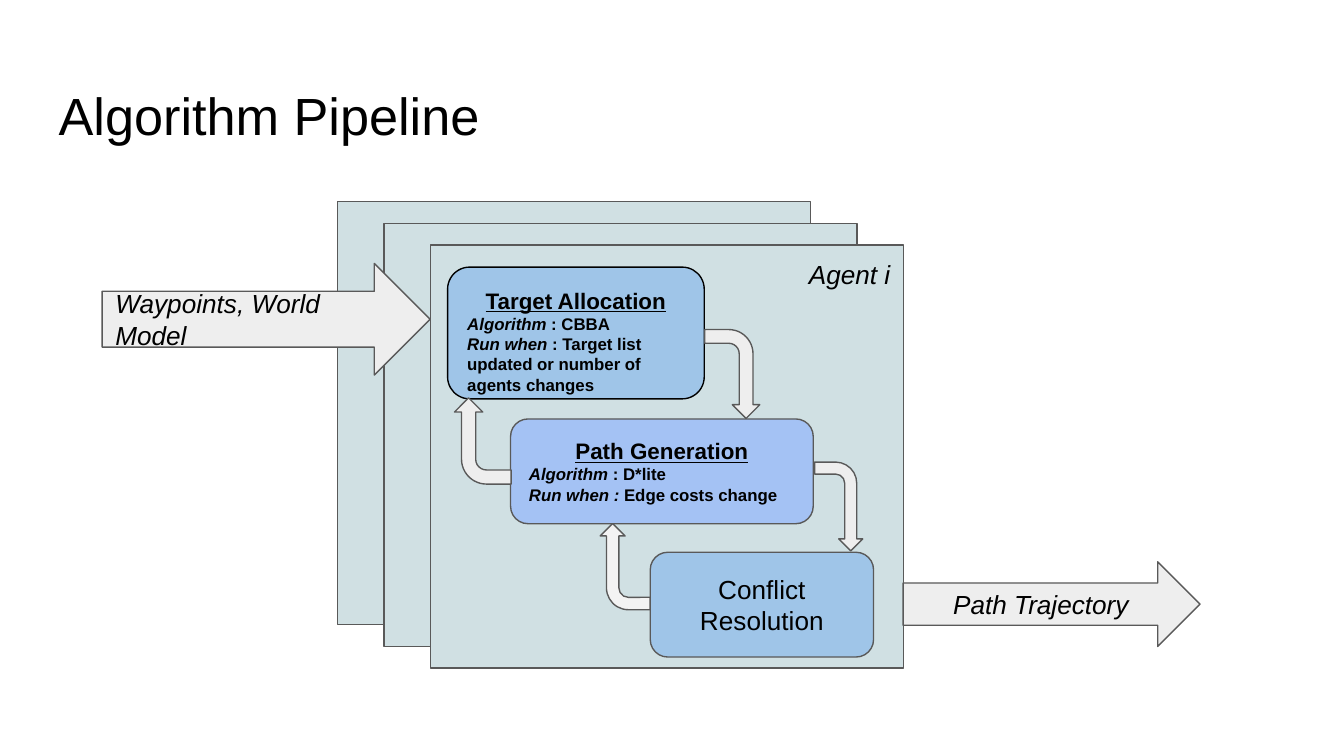
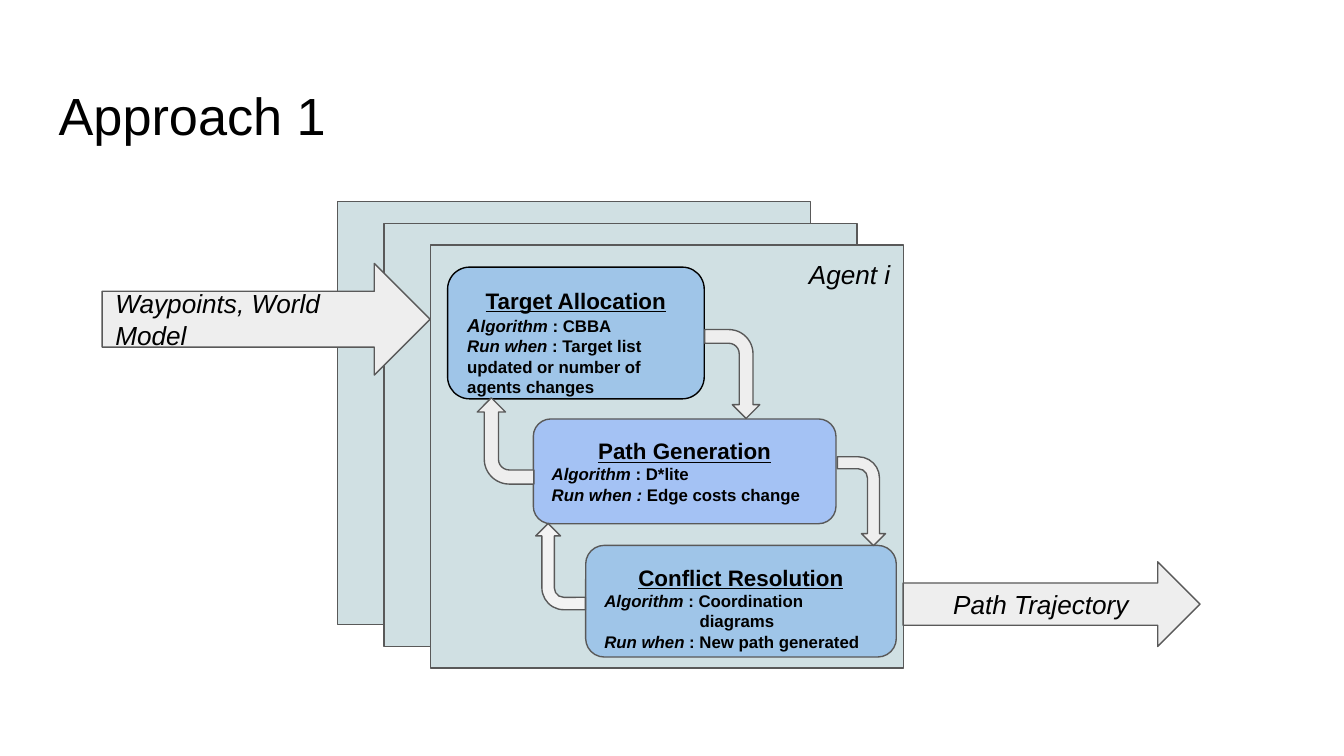
"""Build two slides that show the planning pipeline of an agent."""
from pptx import Presentation
from pptx import util as u
from pptx.dml.color import RGBColor
from pptx.enum import shapes, text

BLACK = RGBColor(0x00, 0x00, 0x00)
OUTLINE = RGBColor(0x59, 0x59, 0x59)
SHEET = RGBColor(0xD0, 0xE0, 0xE3)
SKY = RGBColor(0x9F, 0xC5, 0xE8)
PERIWINKLE = RGBColor(0xA4, 0xC2, 0xF4)
GREY = RGBColor(0xEE, 0xEE, 0xEE)
PALE_GREY = RGBColor(0xF3, 0xF3, 0xF3)

FONT = "Arial"
INSET = u.Cm(0.25)
KIND = shapes.MSO_SHAPE
LEFT, CENTER, RIGHT = text.PP_ALIGN.LEFT, text.PP_ALIGN.CENTER, text.PP_ALIGN.RIGHT
TOP, MIDDLE = text.MSO_ANCHOR.TOP, text.MSO_ANCHOR.MIDDLE

WAYPOINTS = "Waypoints, World Model"
ALLOCATION_RUN = [("Run when", True), (" : Target list updated or number of agents changes", False)]
PATH_LINES = [
    [("Algorithm", True), (" : D*lite", False)],
    [("Run when : ", True), ("Edge costs change", False)],
]


def set_font(font, size, bold=False, italic=None, underline=False):
    """Give a font the shared face and colour with the given style."""
    font.name, font.size = FONT, u.Pt(size)
    font.bold, font.italic, font.underline = bold, italic, underline
    font.color.rgb = BLACK


def set_frame(frame, anchor):
    """Set the margins, wrapping and anchor of a text frame."""
    frame.margin_left = frame.margin_right = INSET
    frame.margin_top = frame.margin_bottom = INSET
    frame.word_wrap = True
    frame.auto_size = text.MSO_AUTO_SIZE.NONE
    frame.vertical_anchor = anchor


def add_box(page, kind, place, fill, line=OUTLINE):
    """Add a flat preset shape at left, top, width, height in centimetres."""
    box = page.shapes.add_shape(kind, *map(u.Cm, place))
    box.shadow.inherit = False
    box.fill.solid()
    box.fill.fore_color.rgb = fill
    box.line.color.rgb = line
    box.line.width = u.Pt(0.75)
    return box


def add_label(box, words, align, anchor=MIDDLE, italic=True):
    """Write one large line of text in a shape."""
    set_frame(box.text_frame, anchor)
    para = box.text_frame.paragraphs[0]
    para.text, para.alignment = words, align
    set_font(para.font, 14, italic=italic)


def add_stage(page, place, fill, heading, lines, line=OUTLINE):
    """Add a rounded stage box with an underlined heading and detail lines."""
    box = add_box(page, KIND.FLOWCHART_ALTERNATE_PROCESS, place, fill, line)
    set_frame(box.text_frame, TOP)
    para = box.text_frame.paragraphs[0]
    para.text, para.alignment = heading, CENTER
    set_font(para.font, 12, bold=True, underline=True)
    for spans in lines:
        para = box.text_frame.add_paragraph()
        para.alignment = LEFT
        set_font(para.font, 9, bold=True)
        for words, italic, *size in spans:
            span = para.add_run()
            span.text, span.font.italic = words, italic
            if size:
                span.font.size = u.Pt(size[0])
    return box


def add_bend(page, place, rotation, fill=GREY):
    """Add a bent arrow between two stages."""
    bend = add_box(page, KIND.BENT_ARROW, place, fill)
    bend.rotation = rotation
    for index, value in enumerate((0.25, 0.25, 0.25, 0.44)):
        bend.adjustments[index] = value


def add_page(deck, title):
    """Add a slide with its title, the agent sheets and the outer arrows."""
    page = deck.slides.add_slide(deck.slide_layouts[5])
    holder = page.shapes.title
    holder.left, holder.top, holder.width, holder.height = map(u.Cm, (0.86, 1.32, 23.67, 1.6))
    set_frame(holder.text_frame, TOP)
    para = holder.text_frame.paragraphs[0]
    para.text, para.alignment = title, LEFT
    set_font(para.font, 28)
    for step in range(3):
        sheet = add_box(page, KIND.RECTANGLE, (6.38 + 0.88 * step, 3.81 + 0.41 * step, 8.94, 8), SHEET)
    add_label(sheet, "Agent i", RIGHT, TOP)
    add_label(add_box(page, KIND.RIGHT_ARROW, (1.93, 4.98, 6.2, 2.11), GREY), WAYPOINTS, LEFT)
    add_label(add_box(page, KIND.RIGHT_ARROW, (17.07, 10.62, 5.61, 1.6), GREY), "Path Trajectory", CENTER)
    return page


def add_flow(page, algorithm, shift, down, up):
    """Add the first two stages and the arrows that join all stages."""
    add_stage(page, (8.46, 5.05, 4.85, 2.49), SKY, "Target Allocation",
              [algorithm, ALLOCATION_RUN], BLACK)
    add_stage(page, (9.65 + shift, 7.92, 5.72, 1.98), PERIWINKLE, "Path Generation", PATH_LINES)
    add_bend(page, (13, 6.55, 1.68, 1.04), 90)
    add_bend(page, (*down, 1.68, 0.91), 90)
    add_bend(page, (8.31 + shift, 7.8, 1.63, 1.07), 270)
    add_bend(page, (*up, 1.63, 0.94), 270, PALE_GREY)


def add_pipeline(deck):
    """Add the slide with the general pipeline."""
    page = add_page(deck, "Algorithm Pipeline")
    conflict = add_box(page, KIND.FLOWCHART_ALTERNATE_PROCESS, (12.29, 10.44, 4.22, 1.98), SKY)
    add_label(conflict, "Conflict Resolution", CENTER, italic=False)
    add_flow(page, [("Algorithm", True), (" : CBBA", False)], 0, (15.01, 9.12), (11, 10.24))


def add_approach(deck):
    """Add the slide with the first approach."""
    page = add_page(deck, "Approach 1")
    conflict = add_stage(page, (11.07, 10.31, 5.87, 2.11), SKY, "Conflict Resolution", [
        [("Algorithm ", True), (": Coordination", False)],
        [("diagrams", False)],
        [("Run when ", True), (": New path generated", False)],
    ])
    diagrams = conflict.text_frame.paragraphs[2]
    diagrams._p.get_or_add_pPr().set("marL", str(u.Cm(1.8)))
    algorithm = [("A", True, 10), ("lgorithm", True), (" : CBBA", False)]
    add_flow(page, algorithm, 0.43, (15.44, 9.02), (9.78, 10.24))


def main():
    """Build and save the deck."""
    deck = Presentation()
    deck.slide_width, deck.slide_height = u.Cm(25.4), u.Cm(14.29)
    add_pipeline(deck)
    add_approach(deck)
    deck.save("out.pptx")


if __name__ == "__main__":
    main()
